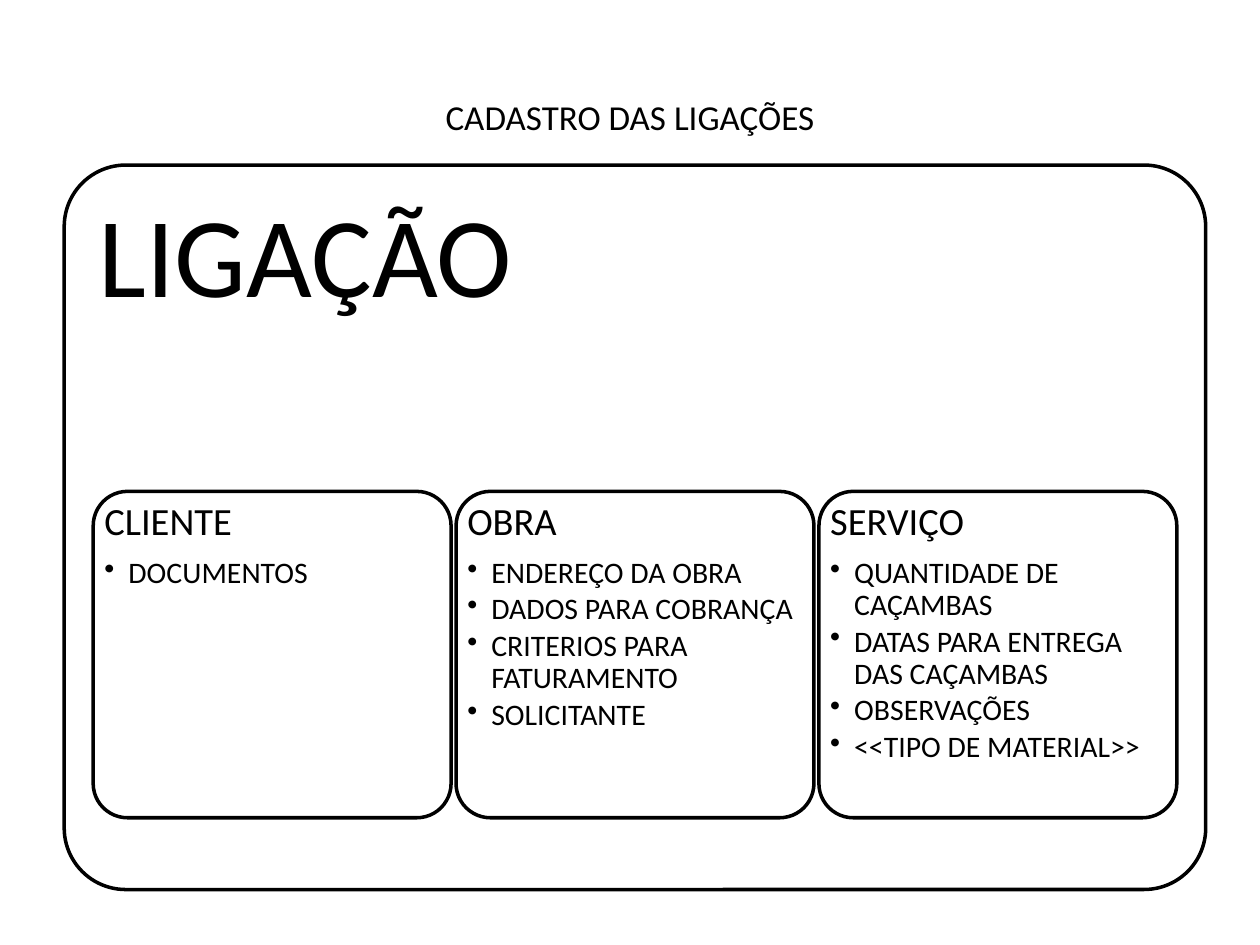
from lxml.etree import SubElement
from pptx import Presentation
from pptx.dml.color import RGBColor
from pptx.enum.shapes import MSO_SHAPE as Shape
from pptx.enum.text import MSO_ANCHOR as Anchor, PP_ALIGN as Align
from pptx.oxml.ns import qn
from pptx.util import Inches, Pt

BLACK = RGBColor(0, 0, 0)
WHITE = RGBColor(255, 255, 255)
FONT = "Calibri"

CARDS = [
    ("CLIENTE", ["DOCUMENTOS"]),
    ("OBRA", ["ENDEREÇO DA OBRA", "DADOS PARA COBRANÇA",
              "CRITERIOS PARA FATURAMENTO", "SOLICITANTE"]),
    ("SERVIÇO", ["QUANTIDADE DE CAÇAMBAS", "DATAS PARA ENTREGA DAS CAÇAMBAS",
                 "OBSERVAÇÕES", "<<TIPO DE MATERIAL>>"]),
]
CARD_LEFT, CARD_TOP = 0.74, 3.9
CARD_WIDTH, CARD_HEIGHT = 2.84, 2.59
CARD_STEP = 2.88


def write(para, text, size, align=Align.LEFT):
    para.text = text
    para.alignment = align
    for span in para.runs:
        span.font.name = FONT
        span.font.size = Pt(size)
        span.font.color.rgb = BLACK


def write_heading(para, text, size):
    write(para, text, size)
    para.line_spacing = 0.9
    para.space_after = Pt(size * 0.35)


def add_bullet(frame, text, size=17):
    para = frame.add_paragraph()
    para.level = 1
    para.line_spacing = 0.9
    para.space_after = Pt(size * 0.15)
    properties = para._p.get_or_add_pPr()
    properties.set("marL", str(Inches(0.19)))
    properties.set("indent", str(-Inches(0.19)))
    SubElement(properties, qn("a:buChar"), char="•")
    write(para, text, size)


def add_title(page, text):
    title = page.shapes.title
    title.left, title.top = Inches(0.5), Inches(0.3)
    title.width, title.height = Inches(9), Inches(1.25)
    title.text_frame.vertical_anchor = Anchor.MIDDLE
    write(title.text_frame.paragraphs[0], text, 20, Align.CENTER)


def add_panel(page, left, top, width, height, corner, margin, heading, size):
    box = page.shapes.add_shape(Shape.ROUNDED_RECTANGLE, Inches(left), Inches(top),
                                Inches(width), Inches(height))
    box.adjustments[0] = corner
    box.shadow.inherit = False
    box.fill.solid()
    box.fill.fore_color.rgb = WHITE
    box.line.color.rgb = BLACK
    box.line.width = Pt(2)
    frame = box.text_frame
    frame.word_wrap = True
    frame.vertical_anchor = Anchor.TOP
    frame.margin_left = frame.margin_right = Inches(margin)
    frame.margin_top = frame.margin_bottom = Inches(margin)
    write_heading(frame.paragraphs[0], heading, size)
    return frame


def main():
    deck = Presentation()
    deck.slide_width, deck.slide_height = Inches(10), Inches(7.5)
    page = deck.slides.add_slide(deck.slide_layouts[5])
    add_title(page, "CADASTRO DAS LIGAÇÕES")
    add_panel(page, 0.51, 1.31, 9.06, 5.75, 0.085, 0.13, "LIGAÇÃO", 65)
    for index, (heading, items) in enumerate(CARDS):
        frame = add_panel(page, CARD_LEFT + index * CARD_STEP, CARD_TOP,
                          CARD_WIDTH, CARD_HEIGHT, 0.105, 0.01, heading, 22)
        for item in items:
            add_bullet(frame, item)
    deck.save("out.pptx")


if __name__ == "__main__":
    main()
